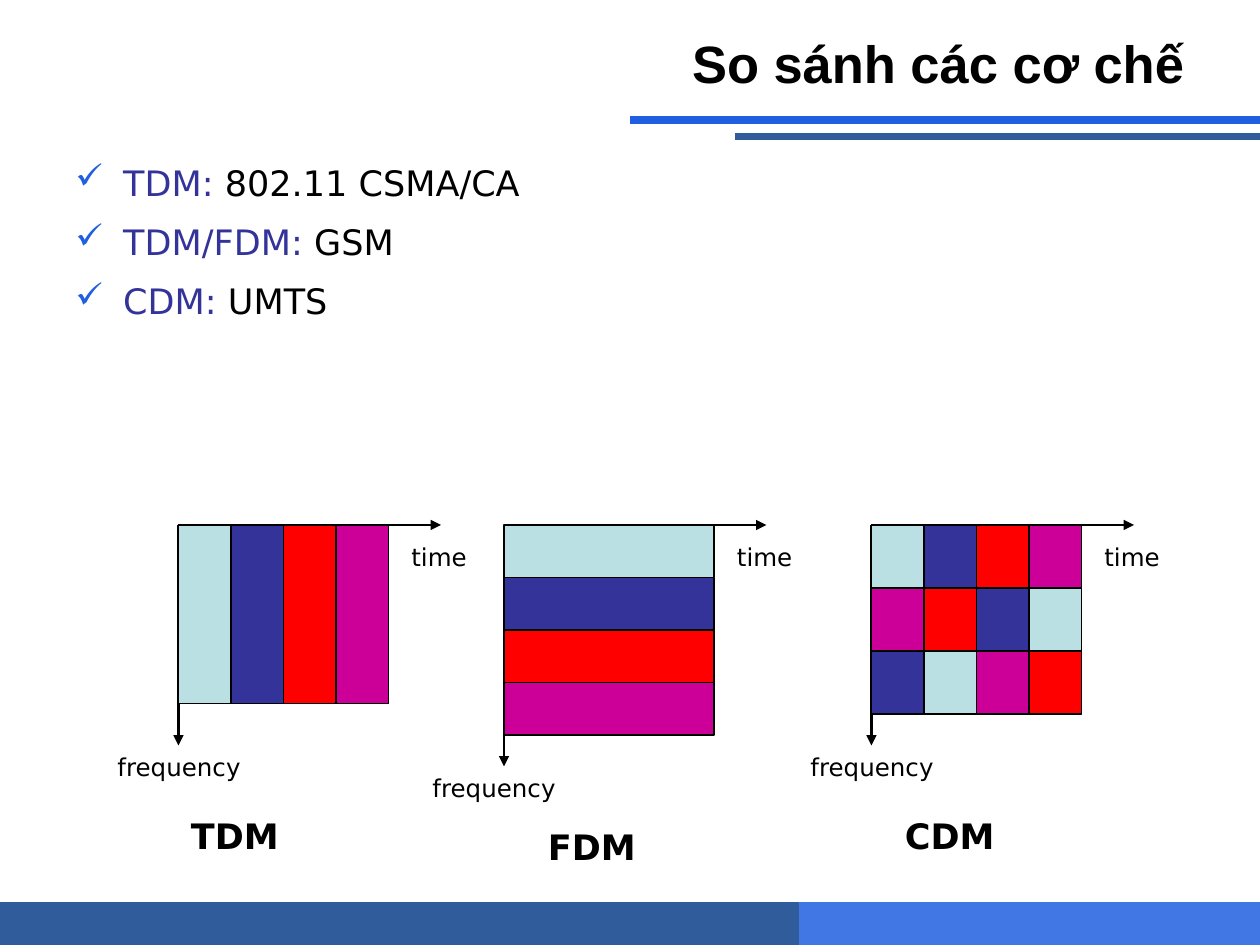
from lxml.etree import SubElement
from pptx import Presentation
from pptx.dml.color import RGBColor as Rgb
from pptx.enum.shapes import MSO_CONNECTOR as Connector, MSO_SHAPE as Preset
from pptx.enum.text import MSO_ANCHOR as Anchor, MSO_AUTO_SIZE as Fit, PP_ALIGN as Align
from pptx.oxml.ns import qn
from pptx.util import Inches, Pt

TITLE = "So sánh các cơ chế"
EXAMPLES = [("TDM:", " 802.11 CSMA/CA"), ("TDM/FDM:", " GSM"), ("CDM:", " UMTS")]
TIME, FREQUENCY = "time", "frequency"

DIAGRAMS = [
    {"name": "TDM", "left": 17, "cell": (5, 17), "users": ["ABCD"],
     "depth": 21, "frequency": (-7, 21, 16), "caption": (0, 27, 16)},
    {"name": "FDM", "left": 48, "cell": (20, 5), "users": ["A", "B", "C", "D"],
     "depth": 23, "frequency": (-8, 23, 15), "caption": (3, 28, 16)},
    {"name": "CDM", "left": 83, "cell": (5, 6), "users": ["ABCD", "DCBA", "BADC"],
     "depth": 21, "frequency": (-7, 21, 15), "caption": (2, 27, 13)},
]

THEME = {
    "ink": "000000", "term": "333399", "bullet": "2060E0",
    "bright": "2060E0", "deep": "315C9B", "footer": "4077E4",
    "users": {"A": "BBE0E3", "B": "333399", "C": "FF0000", "D": "CC0099"},
    "title": {"name": "Arial", "size": Pt(30), "bold": True},
    "body": {"name": "DejaVu Sans", "size": Pt(20)},
    "label": {"name": "DejaVu Sans", "size": Pt(14)},
    "caption": {"name": "DejaVu Sans", "size": Pt(20), "bold": True},
    "rule": 4.5, "axis": 1.5, "edge": 0.75,
}
LABEL_FRAME = {"word_wrap": True, "auto_size": Fit.SHAPE_TO_FIT_TEXT}

COLUMNS, ROWS = 120, 90
DIAGRAM_TOP, TIME_LENGTH = 50, 25
FOOTER_BARS = [((60, 86, 60, 4), "footer"), ((0, 86, 76, 4), "deep")]
RULES = [(60, 11.4, "bright"), (70, 13, "deep")]

deck = Presentation()
deck.slide_width, deck.slide_height = Inches(10), Inches(7.5)
slide = deck.slides.add_slide(deck.slide_layouts[6])
UNIT = deck.slide_width / COLUMNS


def grid(*steps):
    return [round(step * UNIT) for step in steps]


def apply(target, formats):
    for attribute, value in formats.items():
        setattr(target, attribute, value)


def add_bar(shapes, place, fill, edge):
    bar = shapes.add_shape(Preset.RECTANGLE, *grid(*place))
    bar.shadow.inherit = False
    bar.fill.solid()
    bar.fill.fore_color.rgb = Rgb.from_string(fill)
    bar.line.color.rgb = Rgb.from_string(edge)
    bar.line.width = Pt(THEME["edge"])


def add_line(shapes, ends, color, width, arrow=False):
    line = shapes.add_connector(Connector.STRAIGHT, *grid(*ends))
    line.line.color.rgb = Rgb.from_string(color)
    line.line.width = Pt(width)
    if arrow:
        SubElement(line.line._ln, qn("a:tailEnd"), type="triangle")
    SubElement(line._element.spPr, qn("a:effectLst"))


def add_frame(shapes, place, frame_format):
    frame = shapes.add_textbox(*grid(*place)).text_frame
    apply(frame, frame_format)
    return frame


def add_run(paragraph, words, font, color):
    run = paragraph.add_run()
    run.text = words
    apply(run.font, font)
    run.font.color.rgb = Rgb.from_string(color)


def add_text(shapes, place, words, role, frame_format=LABEL_FRAME, align=Align.LEFT):
    paragraph = add_frame(shapes, place, frame_format).paragraphs[0]
    paragraph.alignment = align
    add_run(paragraph, words, THEME[role], THEME["ink"])


def add_check(paragraph):
    properties = paragraph._p.get_or_add_pPr()
    indent = Inches(0.38)
    properties.set("marL", str(indent))
    properties.set("indent", str(-indent))
    color = SubElement(properties, qn("a:buClr"))
    SubElement(color, qn("a:srgbClr"), val=THEME["bullet"])
    SubElement(properties, qn("a:buChar"), char="✓")


def add_examples():
    frame = add_frame(slide.shapes, (6, 14, 108, 68), {"word_wrap": True})
    for index, (term, example) in enumerate(EXAMPLES):
        paragraph = frame.add_paragraph() if index else frame.paragraphs[0]
        add_check(paragraph)
        apply(paragraph, {"line_spacing": 1.2, "space_before": Pt(5 if index else 0)})
        add_run(paragraph, term, THEME["body"], THEME["term"])
        add_run(paragraph, example, THEME["body"], THEME["ink"])


def add_diagram(diagram):
    left, top = diagram["left"], DIAGRAM_TOP
    width, height = diagram["cell"]
    parts = slide.shapes.add_group_shape().shapes
    for across, down in [(0, diagram["depth"]), (TIME_LENGTH, 0)]:
        add_line(parts, (left, top, left + across, top + down),
                 THEME["ink"], THEME["axis"], arrow=True)
    for row, users in enumerate(diagram["users"]):
        for column, user in enumerate(users):
            add_bar(parts, (left + column * width, top + row * height, width, height),
                    THEME["users"][user], THEME["ink"])
    add_text(parts, (left + 21, top + 1, 9, 4), TIME, "label")
    for words, place, role, tall in [(FREQUENCY, "frequency", "label", 4),
                                     (diagram["name"], "caption", "caption", 5.25)]:
        across, down, wide = diagram[place]
        add_text(slide.shapes, (left + across, top + down, wide, tall), words, role)


for place, fill in FOOTER_BARS:
    add_bar(slide.shapes, place, THEME[fill], THEME["footer" if fill == "footer" else "deep"])
for start, height, color in RULES:
    add_line(slide.shapes, (COLUMNS, height, start, height), THEME[color], THEME["rule"])
add_text(slide.shapes, (6, 2, 108, 8), TITLE, "title",
         {"word_wrap": True, "vertical_anchor": Anchor.MIDDLE}, Align.RIGHT)
add_examples()
for diagram in DIAGRAMS:
    add_diagram(diagram)

deck.save("out.pptx")
